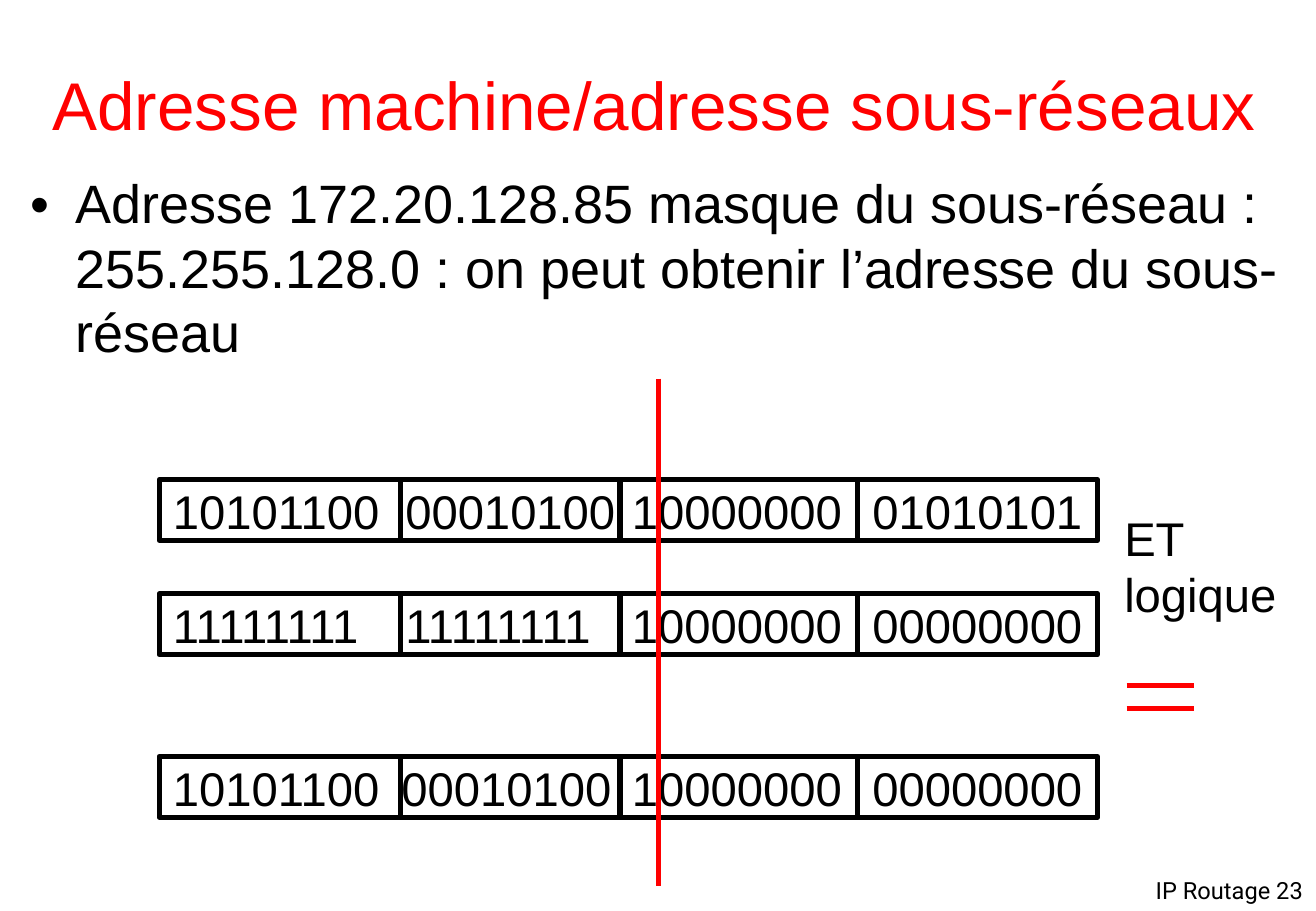
from dataclasses import dataclass

from lxml import etree
from pptx import Presentation
from pptx.dml.color import RGBColor
from pptx.enum.shapes import MSO_CONNECTOR, MSO_SHAPE
from pptx.enum.text import MSO_ANCHOR, MSO_AUTO_SIZE, PP_ALIGN
from pptx.oxml.ns import qn
from pptx.util import Cm, Pt

STRAIGHT = MSO_CONNECTOR.STRAIGHT
ROUNDED_RECTANGLE = MSO_SHAPE.ROUNDED_RECTANGLE
TOP, MIDDLE = MSO_ANCHOR.TOP, MSO_ANCHOR.MIDDLE
NO_FIT, GROW = MSO_AUTO_SIZE.NONE, MSO_AUTO_SIZE.SHAPE_TO_FIT_TEXT
LEFT, CENTER, RIGHT = PP_ALIGN.LEFT, PP_ALIGN.CENTER, PP_ALIGN.RIGHT


@dataclass(frozen=True)
class Theme:
    ink: RGBColor = RGBColor(0, 0, 0)
    accent: RGBColor = RGBColor(255, 0, 0)
    font: str = "Arial"
    footer_font: str = "Roboto"
    title_size: int = 40
    body_size: int = 32
    label_size: int = 28
    footer_size: int = 14
    line_width: int = 3


class SlideBuilder:
    def __init__(self, slide, theme):
        self.slide = slide
        self.theme = theme

    def set_text(self, paragraph, text, size, color=None, font=None,
                 alignment=LEFT, spacing=0.96):
        paragraph.text = text
        paragraph.alignment = alignment
        paragraph.line_spacing = spacing
        paragraph.space_before = Pt(0)
        paragraph.font.size = Pt(size)
        paragraph.font.name = font or self.theme.font
        paragraph.font.color.rgb = color or self.theme.ink

    def place(self, placeholder, left, top, width, height, anchor):
        """Move a placeholder, clear its margins and return its paragraph."""
        placeholder.left, placeholder.top = Cm(left), Cm(top)
        placeholder.width, placeholder.height = Cm(width), Cm(height)
        frame = placeholder.text_frame
        frame.margin_left = frame.margin_right = 0
        frame.margin_top = frame.margin_bottom = 0
        frame.vertical_anchor = anchor
        frame.auto_size = NO_FIT
        return frame.paragraphs[0]

    def title(self, text):
        paragraph = self.place(self.slide.shapes.title,
                               0.2, 0.64, 26.95, 3.18, MIDDLE)
        self.set_text(paragraph, text, self.theme.title_size,
                      self.theme.accent, alignment=CENTER, spacing=0.99)

    def bullet(self, text):
        paragraph = self.place(self.slide.placeholders[1],
                               0.64, 3.61, 26.21, 11.61, TOP)
        properties = paragraph._p.get_or_add_pPr()
        properties.set("marL", str(Cm(0.94)))
        properties.set("indent", str(-Cm(0.94)))
        etree.SubElement(properties, qn("a:buChar")).set("char", "•")
        self.set_text(paragraph, text, self.theme.body_size, spacing=0.99)

    def text(self, text, left, top, width, height, size, **style):
        box = self.slide.shapes.add_textbox(
            Cm(left), Cm(top), Cm(width), Cm(height))
        box.text_frame.word_wrap = True
        box.text_frame.auto_size = GROW
        self.set_text(box.text_frame.paragraphs[0], text, size, **style)

    def line(self, x1, y1, x2, y2, color):
        connector = self.slide.shapes.add_connector(
            STRAIGHT, Cm(x1), Cm(y1), Cm(x2), Cm(y2))
        connector.line.color.rgb = color
        connector.line.width = Pt(self.theme.line_width)
        etree.SubElement(connector._element.spPr, qn("a:effectLst"))

    def frame(self, left, top, width, height):
        shape = self.slide.shapes.add_shape(
            ROUNDED_RECTANGLE, Cm(left), Cm(top), Cm(width), Cm(height))
        shape.adjustments[0] = 0
        shape.shadow.inherit = False
        shape.fill.background()
        shape.line.color.rgb = self.theme.ink
        shape.line.width = Pt(self.theme.line_width)

    def address(self, top, octets, second_left):
        """Draw four octets in one frame split by three dividers."""
        height = 1.27
        lefts = (3.37, second_left, 12.97, 18)
        widths = (5.72, 5, 5.83, 5.11)
        for octet, left, width in zip(octets.split("."), lefts, widths):
            self.text(octet, left, top, width, 1.4, self.theme.label_size)
        self.frame(3.33, top, 19.63, height)
        for x in (8.38, 12.97, 17.93):
            self.line(x, top, x, top + height, self.theme.ink)


def main():
    presentation = Presentation()
    presentation.slide_width = Cm(27.53)
    presentation.slide_height = Cm(19.05)
    theme = Theme()
    slide = presentation.slides.add_slide(presentation.slide_layouts[1])
    builder = SlideBuilder(slide, theme)

    builder.text("IP Routage 23", 22.76, 18.24, 4.75, 0.91,
                 theme.footer_size, font=theme.footer_font, alignment=RIGHT)
    builder.title("Adresse machine/adresse sous-réseaux")
    builder.bullet("Adresse 172.20.128.85 masque du sous-réseau : "
                   "255.255.128.0 : on peut obtenir l’adresse du sous-réseau")

    addresses = (
        (10.03, "10101100.00010100.10000000.01010101", 8.23),
        (12.42, "11111111.11111111.10000000.00000000", 8.23),
        (15.82, "10101100.00010100.10000000.00000000", 8.15),
    )
    for top, octets, second_left in addresses:
        builder.address(top, octets, second_left)

    for equals_y in (14.33, 14.81):
        builder.line(23.57, equals_y, 24.97, equals_y, theme.accent)
    builder.text("ET logique", 23.27, 10.52, 3.96, 2.64,
                 theme.label_size, spacing=1.0)
    builder.line(13.77, 7.92, 13.77, 18.52, theme.accent)

    presentation.save("out.pptx")


if __name__ == "__main__":
    main()
